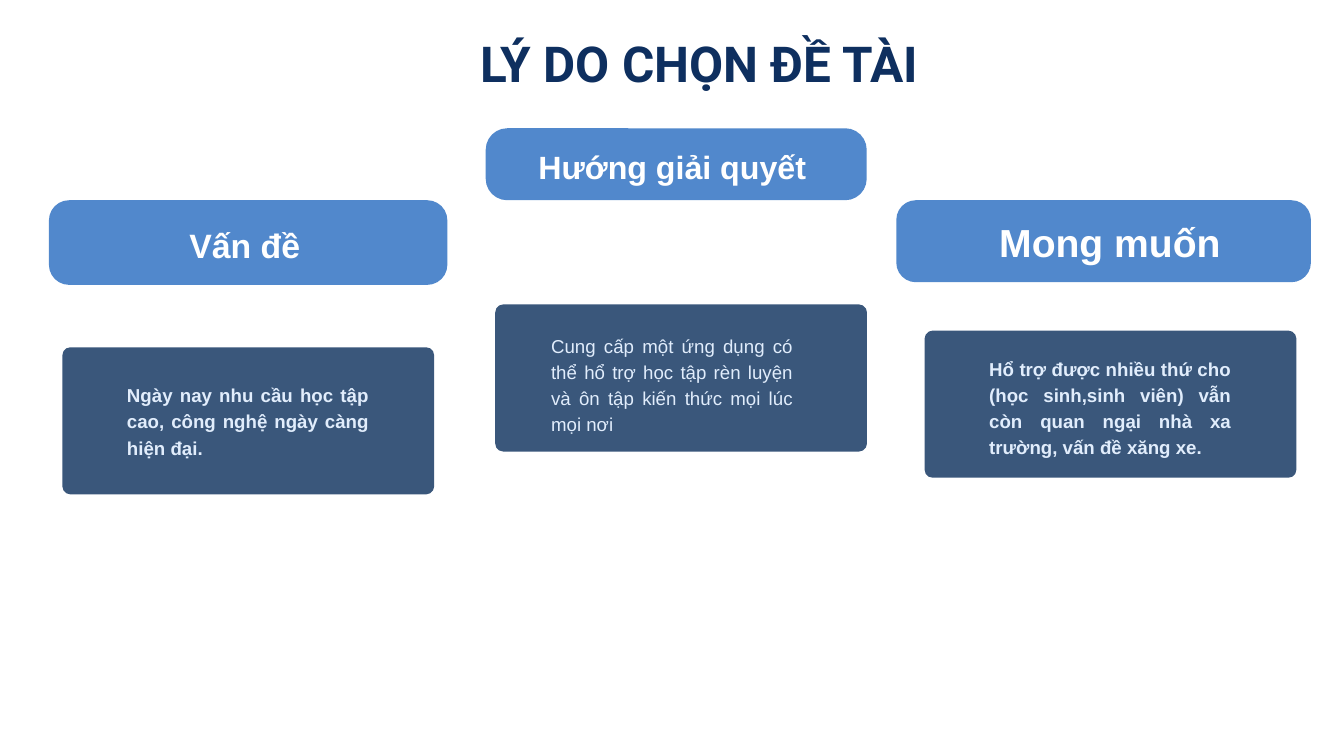
"""Build the slide giving the reasons for choosing the topic."""
from pptx import Presentation
from pptx.dml.color import RGBColor
from pptx.enum.shapes import MSO_SHAPE
from pptx.enum.text import PP_ALIGN
from pptx.util import Cm, Pt

ROUNDED = MSO_SHAPE.ROUNDED_RECTANGLE
CENTER, JUSTIFY = PP_ALIGN.CENTER, PP_ALIGN.JUSTIFY

NAVY = RGBColor(0x0E, 0x2F, 0x5F)
BLUE = RGBColor(0x51, 0x88, 0xCC)
SLATE = RGBColor(0x3A, 0x57, 0x7B)
PALE = RGBColor(0xE1, 0xED, 0xFC)
WHITE = RGBColor(0xFF, 0xFF, 0xFF)

TITLE = "LÝ DO CHỌN ĐỀ TÀI"
TITLE_AREA = (15.49, 1.12, 21.89, 2.62)
CARD_SIZE = (14.05, 5.56)
CARD_RADIUS = 0.3
BODY_WIDTH = 9.14
BODY_SIZE, BODY_LEADING = 20, 28

COLUMNS = [
    {
        "heading": "Vấn đề", "size": 36.2, "leading": 50.7,
        "banner": (1.85, 7.57, 15.06, 3.2), "radius": 0.76,
        "heading_area": (4.57, 8.23, 9.37, 1.68),
        "card": (2.36, 13.13), "body_at": (4.8, 14.38), "body_height": 2.92,
        "body": "Ngày nay nhu cầu học tập cao, công nghệ ngày càng hiện đại.",
        "bold": True,
    },
    {
        "heading": "Hướng giải quyết", "size": 34.5, "leading": 48.3,
        "banner": (18.36, 4.85, 14.4, 2.72), "radius": 0.81,
        "heading_area": (20.04, 5.31, 10.74, 1.63),
        "card": (18.72, 11.51), "body_at": (20.83, 12.5), "body_height": 3.91,
        "body": "Cung cấp một ứng dụng có thể hổ trợ học tập rèn luyện "
                "và ôn tập kiến thức mọi lúc mọi nơi",
        "bold": False,
    },
    {
        "heading": "Mong muốn", "size": 41.9, "leading": 58.6,
        "banner": (33.88, 7.57, 15.67, 3.1), "radius": 0.74,
        "heading_area": (35.2, 7.95, 13.51, 1.96),
        "card": (34.95, 12.5), "body_at": (37.39, 13.39), "body_height": 3.91,
        "body": "Hổ trợ được nhiều thứ cho (học sinh,sinh viên) vẫn còn "
                "quan ngại nhà xa trường, vấn đề xăng xe.",
        "bold": True,
    },
]


def add_panel(page, area, radius, color):
    panel = page.shapes.add_shape(ROUNDED, *map(Cm, area))
    panel.adjustments[0] = radius / min(area[2:])
    panel.shadow.inherit = False
    panel.fill.solid()
    panel.fill.fore_color.rgb = color
    panel.line.fill.background()


def add_text(page, area, text, size, leading, color, align=CENTER, font="Arial", bold=True):
    frame = page.shapes.add_textbox(*map(Cm, area)).text_frame
    frame.word_wrap = True
    frame.margin_left = frame.margin_right = 0
    frame.margin_top = frame.margin_bottom = 0
    para = frame.paragraphs[0]
    para.alignment = align
    para.line_spacing = Pt(leading)
    span = para.add_run()
    span.text = text
    span.font.name = font
    span.font.size = Pt(size)
    span.font.bold = bold
    span.font.color.rgb = color


def main():
    deck = Presentation()
    deck.slide_width, deck.slide_height = Cm(50.8), Cm(28.58)
    page = deck.slides.add_slide(deck.slide_layouts[6])

    add_text(page, TITLE_AREA, TITLE, 53, 67.3, NAVY, font="Roboto")
    for column in COLUMNS:
        add_panel(page, column["banner"], column["radius"], BLUE)
        add_text(page, column["heading_area"], column["heading"],
                 column["size"], column["leading"], WHITE)
        add_panel(page, column["card"] + CARD_SIZE, CARD_RADIUS, SLATE)
        body_area = column["body_at"] + (BODY_WIDTH, column["body_height"])
        add_text(page, body_area, column["body"], BODY_SIZE, BODY_LEADING,
                 PALE, align=JUSTIFY, bold=column["bold"])

    deck.save("out.pptx")


if __name__ == "__main__":
    main()
